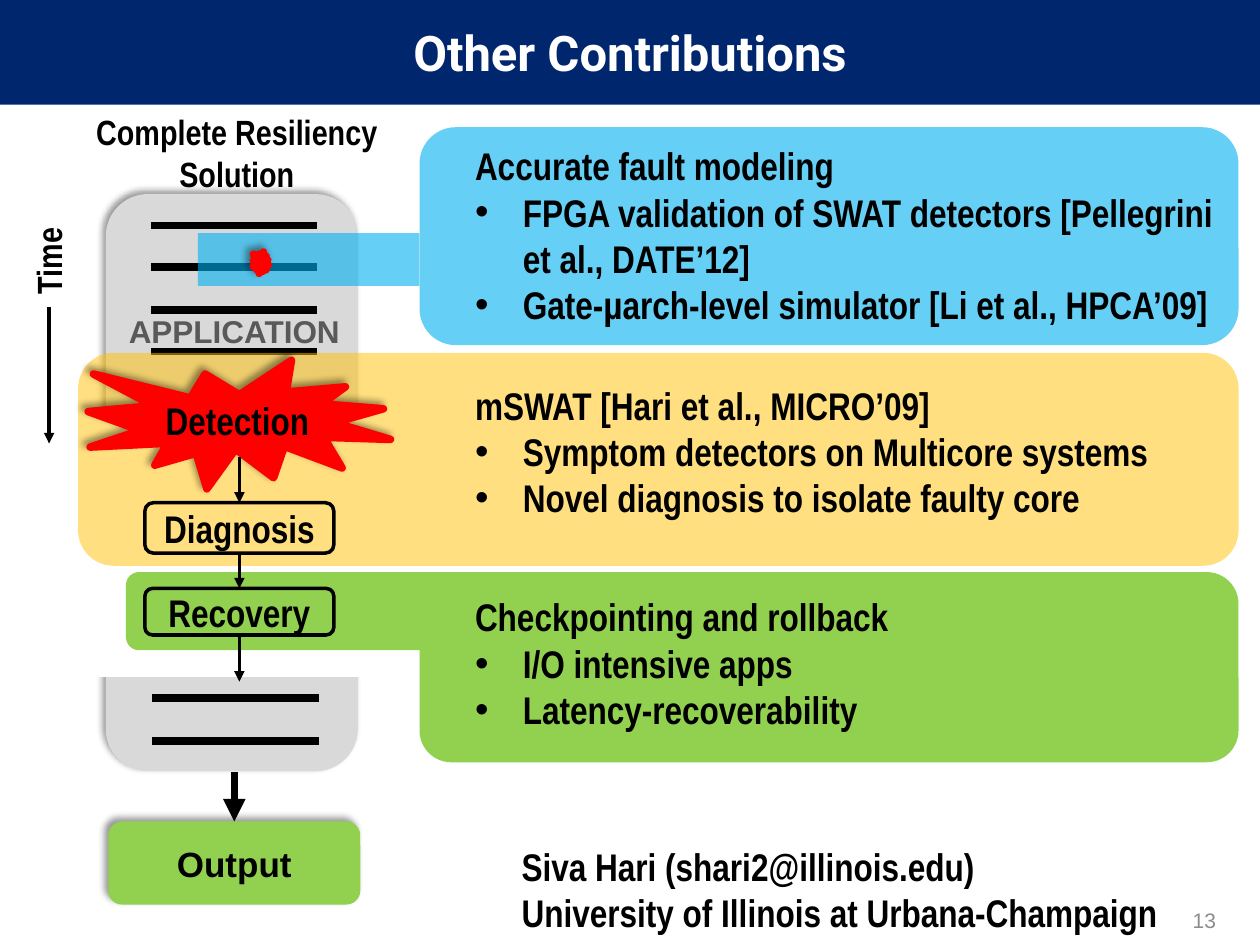
"""Build the "Other Contributions" slide: a resiliency flow beside three result panels."""
from dataclasses import dataclass

from lxml import etree
from pptx import Presentation
from pptx.dml.color import RGBColor
from pptx.enum.shapes import MSO_CONNECTOR, MSO_SHAPE
from pptx.enum.text import MSO_ANCHOR, MSO_AUTO_SIZE, PP_ALIGN
from pptx.oxml.ns import qn
from pptx.util import Inches, Pt

RECT, ROUND, BURST = MSO_SHAPE.RECTANGLE, MSO_SHAPE.ROUNDED_RECTANGLE, MSO_SHAPE.EXPLOSION1
LEFT, CENTER, RIGHT = PP_ALIGN.LEFT, PP_ALIGN.CENTER, PP_ALIGN.RIGHT
TOP, MIDDLE = MSO_ANCHOR.TOP, MSO_ANCHOR.MIDDLE
STRAIGHT, FIXED = MSO_CONNECTOR.STRAIGHT, MSO_AUTO_SIZE.NONE
TOP_SIDE, BOTTOM_SIDE = 0, 2


@dataclass(frozen=True)
class Theme:
    navy: str = "00266E"
    white: str = "FFFFFF"
    black: str = "000000"
    gray: str = "D9D9D9"
    dark_gray: str = "595959"
    page_gray: str = "8C8C8C"
    green: str = "92D050"
    amber: str = "FFC000"
    blue: str = "00B0F0"
    red: str = "FF0000"
    heading: str = "Roboto"
    narrow: str = "Arial Narrow"
    plain: str = "Arial"
    title_size: int = 28
    body_size: int = 22
    label_size: int = 20
    app_size: int = 18
    page_size: int = 12
    thick: float = 4.32
    thin: float = 2


theme = Theme()
prs = Presentation()
prs.slide_width, prs.slide_height = Inches(10), Inches(7.5)
slide = prs.slides.add_slide(prs.slide_layouts.get_by_name("Comparison"))
shapes = slide.shapes


def add_block(kind, box, fill=None, opacity=100, line=None, weight=0.75, shadow=False):
    block = shapes.add_shape(kind, *map(Inches, box))
    block.shadow.inherit = False
    if fill:
        block.fill.solid()
        block.fill.fore_color.rgb = RGBColor.from_string(fill)
        if opacity < 100:
            color = block.element.spPr.find(f"{qn('a:solidFill')}/{qn('a:srgbClr')}")
            etree.SubElement(color, qn("a:alpha"), val=str(opacity * 1000))
    else:
        block.fill.background()
    if line:
        block.line.color.rgb = RGBColor.from_string(line)
        block.line.width = Pt(weight)
    else:
        block.line.fill.background()
    if shadow:
        effects = block.element.spPr.find(qn("a:effectLst"))
        outer = etree.SubElement(effects, qn("a:outerShdw"), blurRad=str(Pt(4)),
                                 dist=str(Pt(3)), dir=str(225 * 60000), rotWithShape="0")
        color = etree.SubElement(outer, qn("a:srgbClr"), val=theme.black)
        etree.SubElement(color, qn("a:alpha"), val="40000")
    return block


def add_line(start, end, weight, arrow=True, source=None, target=None):
    line = shapes.add_connector(STRAIGHT, *map(Inches, (*start, *end)))
    line.line.color.rgb = RGBColor.from_string(theme.black)
    line.line.width = Pt(weight)
    if arrow:
        etree.SubElement(line.line._get_or_add_ln(), qn("a:tailEnd"), type="triangle")
    etree.SubElement(line.element.spPr, qn("a:effectLst"))
    if source:
        line.begin_connect(source, BOTTOM_SIDE)
    if target:
        line.end_connect(target, TOP_SIDE)


title = shapes.title
title.left, title.top, title.width, title.height = map(Inches, (0, 0, 10, 0.83))
title.fill.solid()
title.fill.fore_color.rgb = RGBColor.from_string(theme.navy)

add_block(ROUND, (0.84, 1.54, 2, 4.58), theme.gray, shadow=True)
for left, y in [(1.2, 1.79), (1.2, 2.12), (1.2, 2.46), (1.2, 2.79), (1.21, 5.54), (1.21, 5.88)]:
    add_line((left, y), (left + 1.32, y), theme.thick, arrow=False)
output = add_block(ROUND, (0.86, 6.52, 2, 0.66), theme.green, shadow=True)
add_line((1.86, 6.13), (1.86, 6.52), theme.thick, target=output)
app_label = shapes.add_textbox(*map(Inches, (0.84, 2.43, 2.04, 0.4)))

add_block(RECT, (0.62, 3.28, 2.48, 2.09), theme.white, line=theme.white)
add_block(ROUND, (0.62, 2.8, 9.21, 1.69), theme.amber, opacity=50)
detection = add_block(BURST, (0.7, 2.86, 2.4, 1.02), theme.red, line=theme.red,
                      weight=theme.thick, shadow=True)
add_block(ROUND, (3.33, 4.54, 6.5, 1.51), theme.green)
add_block(ROUND, (1, 4.54, 8.04, 0.62), theme.green)
diagnosis = add_block(ROUND, (1.15, 3.99, 1.5, 0.4), line=theme.black, weight=theme.thin)
recovery = add_block(ROUND, (1.15, 4.67, 1.5, 0.37), line=theme.black, weight=theme.thin)
add_block(RECT, (1.57, 1.85, 1.76, 0.42), theme.blue, opacity=60)
add_block(ROUND, (3.33, 1.01, 6.5, 1.73), theme.blue, opacity=60)
add_block(BURST, (2.01, 2, 0.12, 0.17), theme.red, line=theme.red,
          weight=theme.thick, shadow=True)

add_line((1.9, 3.63), (1.9, 3.99), theme.thin, target=diagnosis)
add_line((1.9, 4.39), (1.9, 4.67), theme.thin, source=diagnosis, target=recovery)
add_line((1.9, 5.04), (1.9, 5.41), theme.thin, source=recovery)
add_line((0.39, 2.44), (0.39, 3.52), theme.thin)

time_label = shapes.add_textbox(*map(Inches, (-0.06, 1.77, 0.89, 0.44)))
time_label.rotation = 270
solution = shapes.add_textbox(*map(Inches, (0.64, 0.83, 2.48, 0.77)))
page = shapes.add_textbox(*map(Inches, (7.42, 7.1, 2.33, 0.4)))

passages = [
    ((3.67, 1.08, 6.25, 1.58), ["Accurate fault modeling",
                                "•FPGA validation of SWAT detectors [Pellegrini et al., DATE’12]",
                                "•Gate-µarch-level simulator [Li et al., HPCA’09]"]),
    ((3.67, 2.98, 5.58, 1.21), ["mSWAT [Hari et al., MICRO’09]",
                                "•Symptom detectors on Multicore systems",
                                "•Novel diagnosis to isolate faulty core"]),
    ((3.67, 4.66, 4.42, 1.21), ["Checkpointing and rollback",
                                "•I/O intensive apps",
                                "•Latency-recoverability"]),
    ((4.04, 6.64, 5.46, 0.84), ["Siva Hari (shari2@illinois.edu)",
                                "University of Illinois at Urbana-Champaign"]),
]
narrow_body = (theme.narrow, theme.body_size, theme.black)
narrow_label = (theme.narrow, theme.label_size, theme.black)
texts = [
    (title, ["Other Contributions"], (theme.heading, theme.title_size, theme.white), CENTER, MIDDLE),
    (app_label, ["APPLICATION"], (theme.plain, theme.app_size, theme.dark_gray), CENTER, TOP),
    (output, ["Output"], (theme.plain, theme.label_size, theme.black), CENTER, MIDDLE),
    (detection, ["Detection"], narrow_body, CENTER, MIDDLE),
    (diagnosis, ["Diagnosis"], narrow_body, CENTER, MIDDLE),
    (recovery, ["Recovery"], narrow_body, CENTER, MIDDLE),
    (time_label, ["Time"], narrow_label, LEFT, TOP),
    (solution, ["Complete Resiliency", "Solution"], narrow_label, CENTER, TOP),
    (page, ["13"], (theme.plain, theme.page_size, theme.page_gray), RIGHT, MIDDLE),
]
bodies = [holder for holder in slide.placeholders if holder.placeholder_format.idx in (1, 2, 3, 4)]
for body, (box, lines) in zip(bodies, passages):
    body.left, body.top, body.width, body.height = map(Inches, box)
    shapes.element.append(body.element)
    texts.append((body, lines, narrow_body, LEFT, TOP))

unwrapped = {owner.shape_id for owner in (app_label, output, detection, diagnosis, recovery)}
for owner, lines, (font, size, color), align, anchor in texts:
    frame = owner.text_frame
    frame.auto_size = FIXED
    frame.word_wrap = owner.shape_id not in unwrapped
    frame.vertical_anchor = anchor
    frame.text = "\n".join(line.lstrip("•") for line in lines)
    for paragraph, line in zip(frame.paragraphs, lines):
        bulleted = line.startswith("•")
        indent = Inches(0.38) if bulleted else 0
        props = paragraph._p.get_or_add_pPr()
        props.set("marL", str(indent))
        props.set("indent", str(-indent))
        if bulleted:
            etree.SubElement(props, qn("a:buFont"), typeface=theme.plain)
            etree.SubElement(props, qn("a:buChar"), char="•")
        else:
            etree.SubElement(props, qn("a:buNone"))
        paragraph.alignment = align
        paragraph.space_before = Pt(0)
        paragraph.font.name = font
        paragraph.font.size = Pt(size)
        paragraph.font.bold = owner is not page
        paragraph.font.color.rgb = RGBColor.from_string(color)

prs.save("out.pptx")
